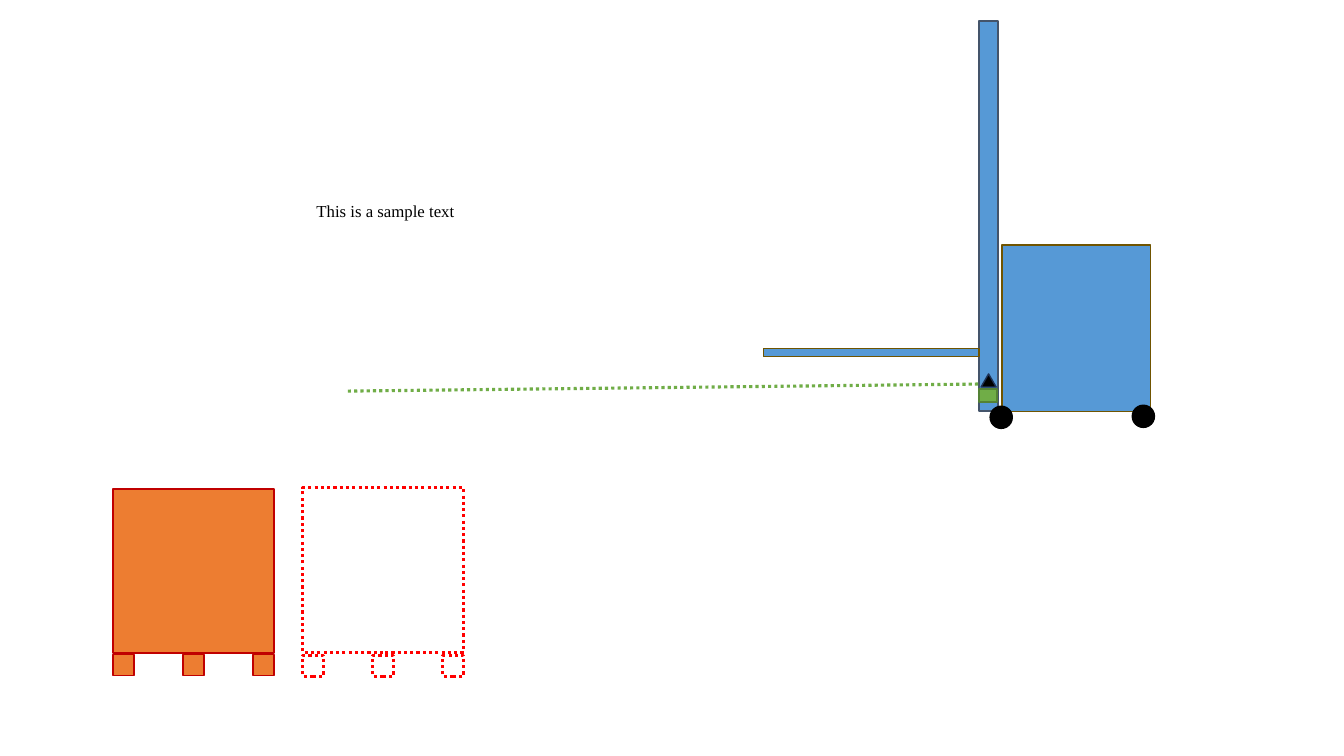
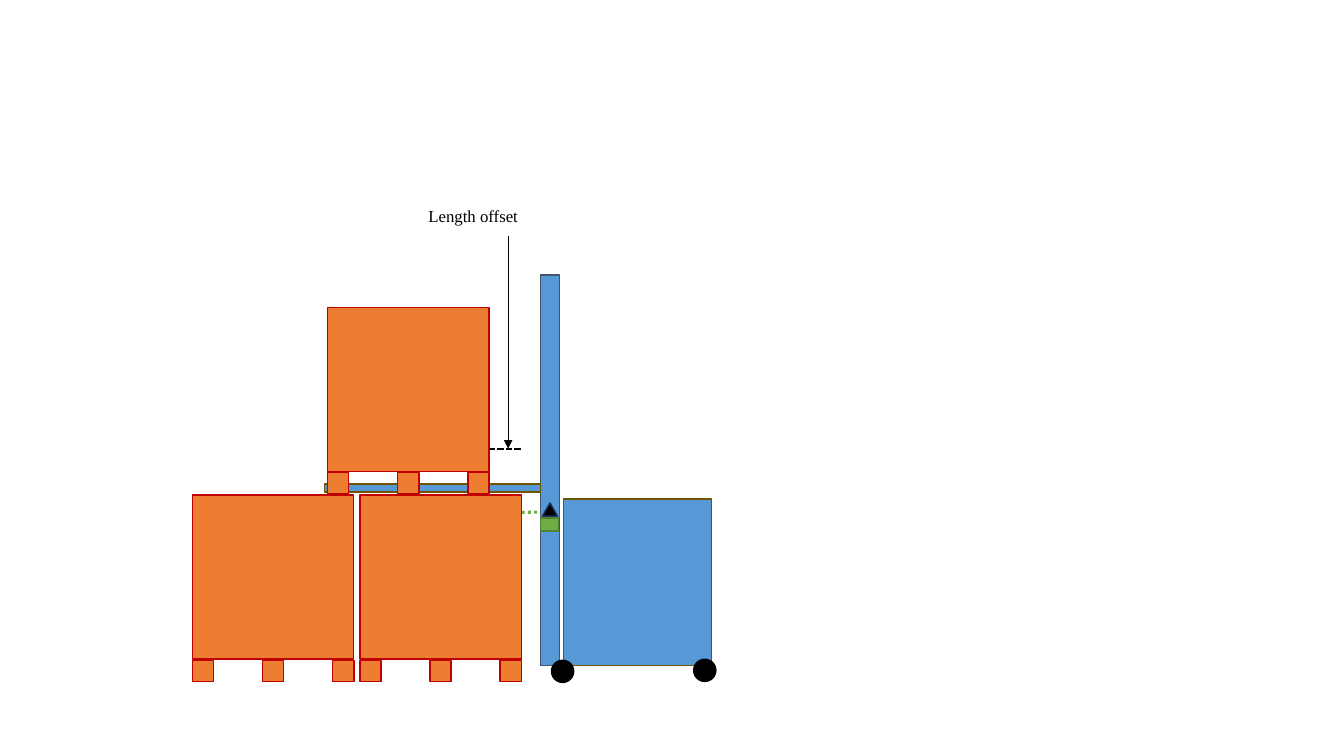
"""Build two slides that show a forklift stacking pallets."""
from lxml.etree import SubElement
from pptx import Presentation
from pptx.dml.color import RGBColor
from pptx.enum.dml import MSO_LINE as DASH
from pptx.enum.shapes import MSO_CONNECTOR as LINK, MSO_SHAPE as SHAPE
from pptx.enum.text import MSO_AUTO_SIZE as FIT
from pptx.oxml.ns import qn
from pptx.util import Inches, Pt

COLORS = {
    "truck": "5699D6", "mast edge": "44546A", "body edge": "705400",
    "load": "ED7D31", "load edge": "C00000", "target": "FF0000",
    "sensor": "70AD47", "sensor edge": "548235", "marker edge": "1E3256",
    "black": "000000",
}
FONT = "Times New Roman"
LOAD_WIDTH, LOAD_HEIGHT, FOOT, FEET = 1.6, 1.63, 0.21, 3
MAST_HEIGHT, FORK_LENGTH, WHEEL = 3.87, 2.14, 0.22

SLIDES = [
    {
        "pallets_behind": [
            {"left": 1.12, "top": 4.85},
            {"left": 3, "top": 4.84, "target": True},
        ],
        "truck": {"left": 9.71, "top": 0.21, "fork": 3.25, "marker": 3.5,
                  "beam_start": (3.45, 3.88), "beam_end": 3.81},
        "label": ("This is a sample text", 3.04, 1.94),
    },
    {
        "truck": {"left": 5.36, "top": 2.73, "fork": 2.07, "marker": 2.26,
                  "beam_start": (3.68, 5.11), "beam_end": 5.08},
        "pallets_front": [
            {"left": 3.57, "top": 4.91},
            {"left": 3.25, "top": 3.05},
            {"left": 1.91, "top": 4.91},
        ],
        "lines": [
            {"start": (4.85, 4.45), "end": (5.17, 4.45), "width": 1.5, "dash": DASH.SQUARE_DOT},
            {"start": (5.04, 2.34), "end": (5.04, 4.45), "width": 0.5, "arrow": True},
        ],
        "label": ("Length offset", 4.15, 1.99),
    },
]


def color(name):
    """Return the named colour."""
    return RGBColor.from_string(COLORS[name])


def style_line(line, edge, width, dash=None):
    """Set colour, width and dash of a line."""
    line.color.rgb = color(edge)
    line.width = Pt(width)
    if dash is not None:
        line.dash_style = dash


def add_part(parent, left, top, width, height, *, edge, fill=None,
             kind=SHAPE.RECTANGLE, line_width=1, dash=None):
    """Add one preset shape."""
    part = parent.shapes.add_shape(kind, *map(Inches, (left, top, width, height)))
    part.shadow.inherit = False
    if fill:
        part.fill.solid()
        part.fill.fore_color.rgb = color(fill)
    else:
        part.fill.background()
    style_line(part.line, edge, line_width, dash)


def add_line(parent, start, end, *, edge="black", width=1, dash=None, arrow=False):
    """Add a straight line, with an arrowhead at its end if asked."""
    link = parent.shapes.add_connector(LINK.STRAIGHT, *map(Inches, (*start, *end)))
    style_line(link.line, edge, width, dash)
    properties = link._element.spPr
    if arrow:
        SubElement(properties.find(qn("a:ln")), qn("a:tailEnd"), type="triangle")
    SubElement(properties, qn("a:effectLst"))


def add_pallet(page, left, top, target=False):
    """Add a load on evenly spaced feet, solid or as a dotted target."""
    group = page.shapes.add_group_shape()
    if target:
        look = {"edge": "target", "line_width": 2.25, "dash": DASH.ROUND_DOT}
    else:
        look = {"edge": "load edge", "fill": "load"}
    add_part(group, left, top, LOAD_WIDTH, LOAD_HEIGHT, **look)
    foot_top = top + LOAD_HEIGHT + (0.03 if target else 0.01)
    step = (LOAD_WIDTH - FOOT) / (FEET - 1)
    for index in range(FEET):
        add_part(group, left + index * step, foot_top, FOOT, FOOT, **look)


def add_truck(page, left, top, fork, marker, beam_start, beam_end):
    """Add a forklift whose fork and sensor sit below the mast's top."""
    group = page.shapes.add_group_shape()
    add_part(group, left, top, 0.19, MAST_HEIGHT, fill="truck", edge="mast edge")
    add_part(group, left + 0.23, top + 2.22, 1.47, 1.65, fill="truck", edge="body edge")
    add_part(group, left - FORK_LENGTH, top + fork, FORK_LENGTH, 0.08,
             fill="truck", edge="body edge")
    for across, down in ((0.11, 3.82), (1.52, 3.81)):
        add_part(group, left + across, top + down, WHEEL, WHEEL,
                 fill="black", edge="black", kind=SHAPE.OVAL)
    add_part(group, left, top + marker + 0.15, 0.18, 0.13, fill="sensor", edge="sensor edge")
    add_part(group, left + 0.02, top + marker, 0.15, 0.13,
             fill="black", edge="marker edge", kind=SHAPE.ISOSCELES_TRIANGLE)
    add_line(group, beam_start, (left, beam_end),
             edge="sensor", width=2.25, dash=DASH.ROUND_DOT)


def add_text(page, text, left, top, *, width=1.78, height=0.3, size=12, ink="black"):
    """Add a text box."""
    box = page.shapes.add_textbox(*map(Inches, (left, top, width, height)))
    frame = box.text_frame
    frame.word_wrap = True
    frame.auto_size = FIT.SHAPE_TO_FIT_TEXT
    span = frame.paragraphs[0].add_run()
    span.text = text
    span.font.name = FONT
    span.font.size = Pt(size)
    span.font.color.rgb = color(ink)


def main():
    """Build and save the deck."""
    deck = Presentation()
    deck.slide_width, deck.slide_height = Inches(13.33), Inches(7.5)
    for content in SLIDES:
        page = deck.slides.add_slide(deck.slide_layouts[6])
        for pallet in content.get("pallets_behind", []):
            add_pallet(page, **pallet)
        add_truck(page, **content["truck"])
        for pallet in content.get("pallets_front", []):
            add_pallet(page, **pallet)
        for line in content.get("lines", []):
            add_line(page, **line)
        add_text(page, *content["label"])
    deck.save("out.pptx")


if __name__ == "__main__":
    main()
